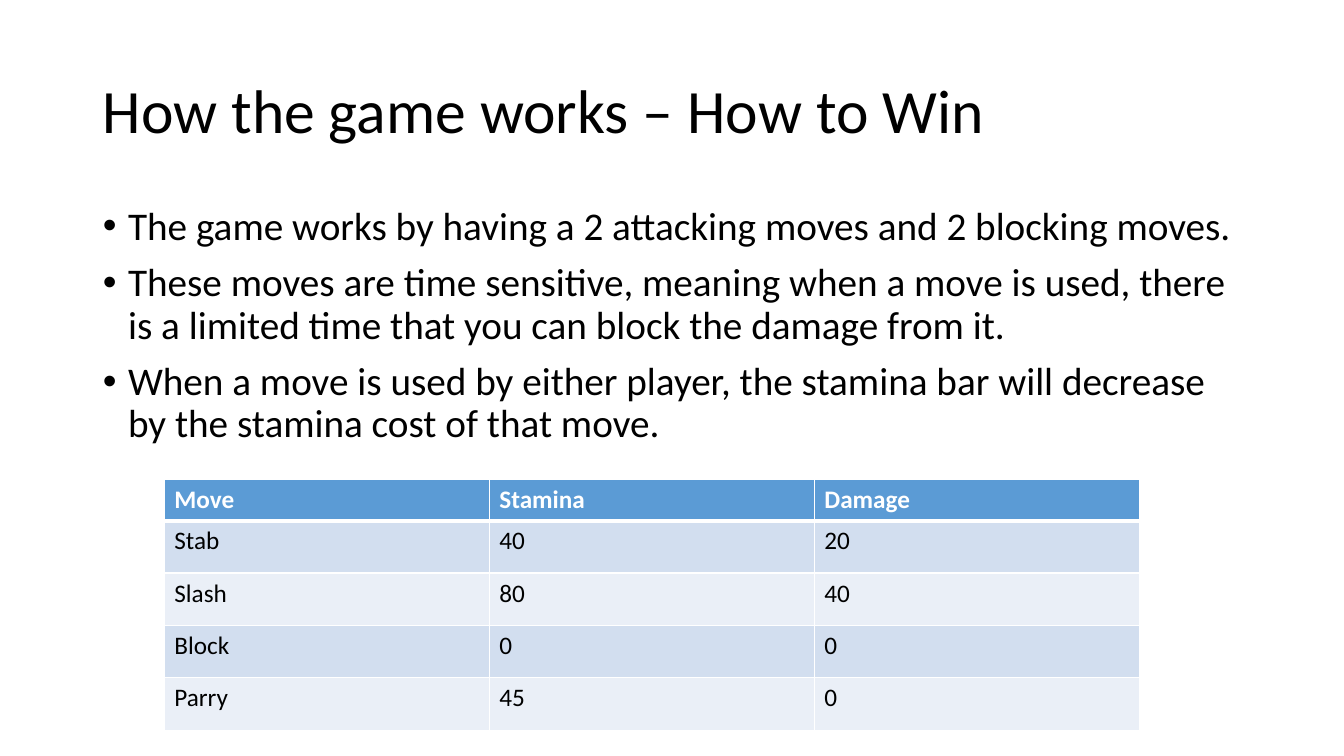
from lxml import etree
from pptx import Presentation
from pptx.dml.color import RGBColor
from pptx.enum.text import MSO_ANCHOR, MSO_AUTO_SIZE, PP_ALIGN
from pptx.oxml.ns import qn
from pptx.util import Inches, Pt

LEFT = PP_ALIGN.LEFT
TOP = MSO_ANCHOR.TOP
MIDDLE = MSO_ANCHOR.MIDDLE
NO_FIT = MSO_AUTO_SIZE.NONE

BLACK = RGBColor(0x00, 0x00, 0x00)
WHITE = RGBColor(0xFF, 0xFF, 0xFF)
HEADER_BLUE = RGBColor(0x5B, 0x9B, 0xD5)
BAND_DARK = RGBColor(0xD2, 0xDE, 0xEF)
BAND_LIGHT = RGBColor(0xEA, 0xEF, 0xF7)

TITLE = "How the game works – How to Win"
BULLETS = [
    "The game works by having a 2 attacking moves and 2 blocking moves.",
    "These moves are time sensitive, meaning when a move is used, there is a limited time that you can block the damage from it.",
    "When a move is used by either player, the stamina bar will decrease by the stamina cost of that move.",
]
MOVES = [
    ("Move", "Stamina", "Damage"),
    ("Stab", "40", "20"),
    ("Slash", "80", "40"),
    ("Block", "0", "0"),
    ("Parry", "45", "0"),
]


def format_text(tf, size, color, bold=False, **para_format):
    for p in tf.paragraphs:
        for name, value in para_format.items():
            setattr(p, name, value)
        for r in p.runs:
            r.font.color.rgb = color
            for name, value in {"name": "Calibri", "size": Pt(size), "bold": bold}.items():
                setattr(r.font, name, value)


def add_border(tcPr, position, side, width):
    ln = etree.Element(qn(f"a:{side}"), w=str(Pt(width)))
    fill = etree.SubElement(ln, qn("a:solidFill"))
    etree.SubElement(fill, qn("a:srgbClr"), val=str(WHITE))
    tcPr.insert(position, ln)


prs = Presentation()
prs.slide_width = Inches(13.33)
prs.slide_height = Inches(7.5)
s = prs.slides.add_slide(prs.slide_layouts[1])

title = s.shapes.title
body = s.placeholders[1]
for sp, top, height, text, anchor in [
    (title, 0.4, 1.45, TITLE, MIDDLE),
    (body, 2, 4.76, "\n".join(BULLETS), TOP),
]:
    sp.left, sp.top = Inches(0.92), Inches(top)
    sp.width, sp.height = Inches(11.5), Inches(height)
    tf = sp.text_frame
    tf.text = text
    for name, value in {"vertical_anchor": anchor, "auto_size": NO_FIT, "word_wrap": True}.items():
        setattr(tf, name, value)

format_text(title.text_frame, 44, BLACK, alignment=LEFT, line_spacing=0.9)
format_text(body.text_frame, 28, BLACK, alignment=LEFT, line_spacing=0.9, space_before=Pt(10))
for p in body.text_frame.paragraphs:
    pPr = p._p.get_or_add_pPr()
    pPr.set("marL", str(Inches(0.25)))
    pPr.set("indent", str(Inches(-0.25)))

table = s.shapes.add_table(
    len(MOVES), len(MOVES[0]), Inches(1.63), Inches(4.76), Inches(9.67), Inches(2.49)
).table
for i, values in enumerate(MOVES):
    header = i == 0
    table.rows[i].height = Inches(0.39 if header else 0.52)
    band = BAND_DARK if i % 2 else BAND_LIGHT
    for j, value in enumerate(values):
        cell = table.cell(i, j)
        cell.text = value
        cell.fill.solid()
        cell.fill.fore_color.rgb = HEADER_BLUE if header else band
        format_text(cell.text_frame, 18, WHITE if header else BLACK, header)
        widths = {"lnL": 1, "lnR": 1, "lnT": 3 if i == 1 else 1, "lnB": 3 if header else 1}
        for position, (side, width) in enumerate(widths.items()):
            add_border(cell._tc.get_or_add_tcPr(), position, side, width)

prs.save("out.pptx")
